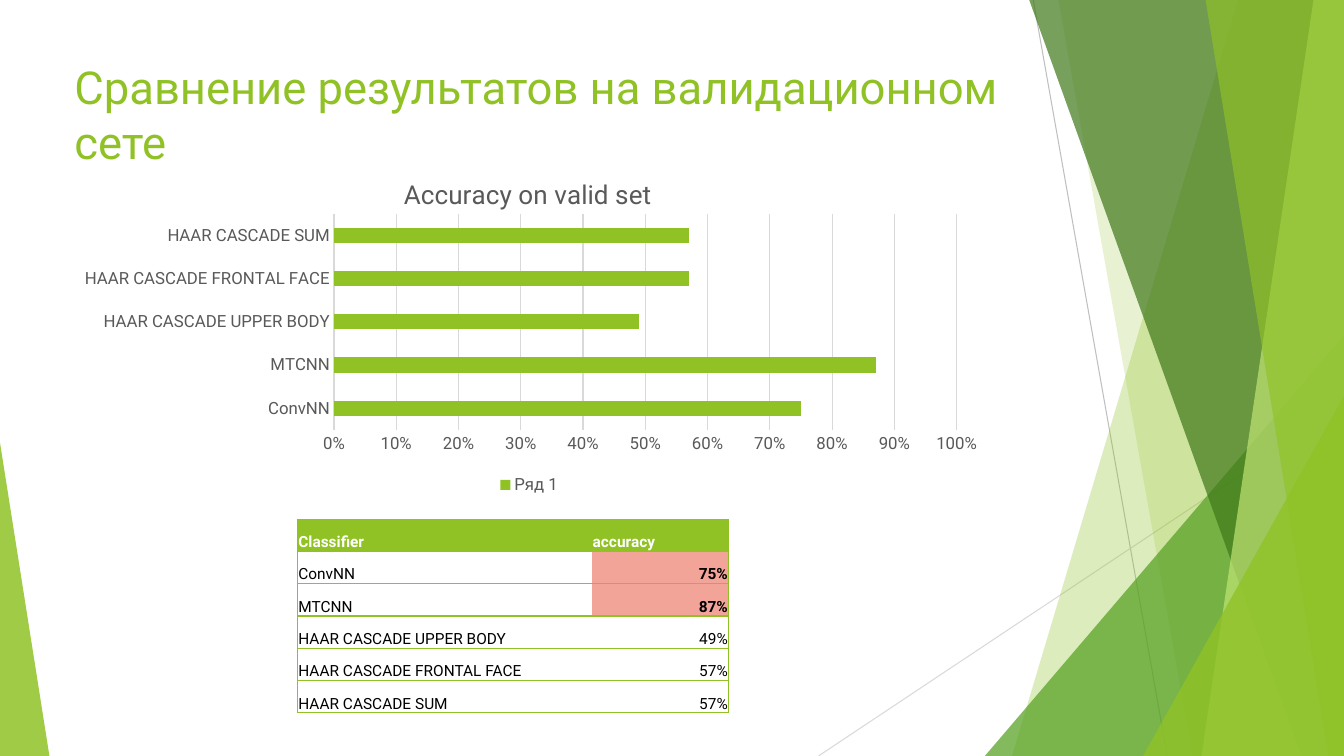
from dataclasses import dataclass

from lxml.etree import SubElement
from pptx import Presentation
from pptx.chart.data import CategoryChartData
from pptx.dml.color import RGBColor
from pptx.enum.chart import XL_CHART_TYPE, XL_LEGEND_POSITION, XL_TICK_MARK
from pptx.enum.shapes import MSO_CONNECTOR, MSO_SHAPE
from pptx.enum.text import MSO_ANCHOR, PP_ALIGN
from pptx.oxml import parse_xml
from pptx.oxml.ns import nsdecls, qn
from pptx.util import Inches, Pt


@dataclass(frozen=True)
class Theme:
    font: str = "Roboto"
    lime: str = "90C226"
    leaf: str = "54A021"
    forest: str = "3F7819"
    pale: str = "C0E474"
    rose: str = "F2A499"
    white: str = "FFFFFF"
    black: str = "000000"
    label: str = "595959"
    rule: str = "D9D9D9"
    dark_rule: str = "BFBFBF"
    title_size: float = 32.4
    chart_title_size: float = 18.6
    label_size: float = 12
    table_size: float = 11
    hairline: float = 0.75
    border: float = 1


class SlideBuilder:
    def __init__(self, deck, theme):
        self.theme = theme
        self.width, self.height = deck.slide_width, deck.slide_height
        self.slide = deck.slides.add_slide(deck.slide_layouts[6])
        self.shapes = self.slide.shapes

    def x(self, percent):
        return round(self.width * percent / 100)

    def y(self, percent):
        return round(self.height * percent / 100)

    def box(self, left, top, width, height):
        return self.x(left), self.y(top), self.x(width), self.y(height)

    def style_font(self, font, size, color, bold=False):
        font.name, font.size, font.bold = self.theme.font, Pt(size), bold
        font.color.rgb = RGBColor.from_string(color)

    def add_words(self, paragraph, words, size, color, bold=False):
        run = paragraph.add_run()
        run.text = words
        self.style_font(run.font, size, color, bold)

    def tint(self, shape, color, opacity):
        shape.shadow.inherit = False
        shape.fill.solid()
        shape.fill.fore_color.rgb = RGBColor.from_string(color)
        shape.line.fill.background()
        srgb = shape._element.spPr.find(qn("a:solidFill")).find(qn("a:srgbClr"))
        SubElement(srgb, qn("a:alpha"), val=str(opacity * 1000))

    def line(self, start, end, color):
        rule = self.shapes.add_connector(
            MSO_CONNECTOR.STRAIGHT, self.x(start[0]), self.y(start[1]), self.x(end[0]), self.y(end[1]))
        rule.line.color.rgb = RGBColor.from_string(color)
        rule.line.width = Pt(self.theme.hairline)
        SubElement(rule._element.spPr, qn("a:effectLst"))

    def band(self, top_left, bottom_left, color, opacity):
        outline = self.shapes.build_freeform(self.x(top_left), 0, scale=1.0)
        corners = [(100, 0), (100, 100), (bottom_left, 100)]
        outline.add_line_segments([(self.x(h), self.y(v)) for h, v in corners], close=True)
        self.tint(outline.convert_to_shape(), color, opacity)

    def triangle(self, left, top, width, apex, color, opacity):
        wedge = self.shapes.add_shape(
            MSO_SHAPE.ISOSCELES_TRIANGLE, *self.box(left, top, width, 100 - top))
        wedge.adjustments[0] = apex
        self.tint(wedge, color, opacity)

    def title(self, words, *place):
        frame = self.shapes.add_textbox(*self.box(*place)).text_frame
        frame.word_wrap = True
        self.add_words(frame.paragraphs[0], words, self.theme.title_size, self.theme.lime)

    def cell(self, cell, words, fill, color, bold, right, edges):
        cell.margin_left = cell.margin_right = self.x(0.07)
        cell.margin_top, cell.margin_bottom = self.y(0.13), 0
        cell.vertical_anchor = MSO_ANCHOR.BOTTOM
        paragraph = cell.text_frame.paragraphs[0]
        paragraph.alignment = PP_ALIGN.RIGHT if right else PP_ALIGN.LEFT
        self.add_words(paragraph, words, self.theme.table_size, color, bold)
        properties = cell._tc.get_or_add_tcPr()
        for edge in "LRTB":
            border = SubElement(properties, qn("a:ln" + edge), w=str(Pt(self.theme.border)))
            if edge in edges:
                paint = SubElement(border, qn("a:solidFill"))
                SubElement(paint, qn("a:srgbClr"), val=self.theme.lime)
            else:
                SubElement(border, qn("a:noFill"))
        cell.fill.solid()
        cell.fill.fore_color.rgb = RGBColor.from_string(fill)

    def table(self, header, accuracies, best, left, top, widths, row_height):
        theme = self.theme
        rows = [header] + [(name, f"{value:.0%}") for name, value in accuracies]
        table = self.shapes.add_table(
            len(rows), len(widths),
            *self.box(left, top, sum(widths), row_height * len(rows))).table
        table.first_row = table.horz_banding = False
        for column, width in zip(table.columns, widths):
            column.width = self.x(width)
        for r, row in enumerate(rows):
            table.rows[r].height = self.y(row_height)
            for c, words in enumerate(row):
                heading, marked = r == 0, c == 1 and row[0] in best
                fill = theme.lime if heading else theme.rose if marked else theme.white
                color = theme.white if heading else theme.black
                self.cell(table.cell(r, c), words, fill, color, heading or marked,
                          c == 1 and not heading, ("LTB", "RTB")[c])

    def place(self, parent, before, inner=False, **shares):
        target = '<c:layoutTarget val="inner"/>' if inner else ""
        modes = "".join(f'<c:{side}Mode val="edge"/>' for side in "xy")
        values = "".join(f'<c:{key} val="{value}"/>' for key, value in shares.items())
        for existing in parent.findall(qn("c:layout")):
            parent.remove(existing)
        parent.find(qn(before)).addprevious(parse_xml(
            f'<c:layout {nsdecls("c")}><c:manualLayout>{target}{modes}{values}'
            f'</c:manualLayout></c:layout>'))

    def bar_chart(self, heading, series_name, accuracies, *place):
        theme = self.theme
        data = CategoryChartData(number_format="0%")
        data.categories = [name for name, _ in accuracies]
        data.add_series(series_name, [value for _, value in accuracies])
        chart = self.shapes.add_chart(XL_CHART_TYPE.BAR_CLUSTERED, *self.box(*place), data).chart
        self.style_font(chart.font, theme.label_size, theme.label)
        chart.has_title = True
        self.add_words(chart.chart_title.text_frame.paragraphs[0], heading,
                       theme.chart_title_size, theme.label)
        self.place(chart.chart_title._element, "c:overlay", x=0.36, y=0.05)
        self.place(chart._chartSpace.chart.plotArea, "c:barChart", inner=True,
                   x=0.29, y=0.17, w=0.67, h=0.63)
        chart.has_legend = True
        chart.legend.position = XL_LEGEND_POSITION.BOTTOM
        chart.legend.include_in_layout = False
        self.style_font(chart.legend.font, theme.label_size, theme.label)
        plot = chart.plots[0]
        plot.gap_width, plot.vary_by_categories = 182, False
        bars = plot.series[0].format.fill
        bars.solid()
        bars.fore_color.rgb = RGBColor.from_string(theme.lime)
        scale = chart.value_axis
        scale.minimum_scale, scale.maximum_scale, scale.major_unit = 0, 1, 0.1
        scale.tick_labels.number_format = "0%"
        scale.tick_labels.number_format_is_linked = False
        scale.has_major_gridlines = True
        for axis in (scale, chart.category_axis):
            axis.major_tick_mark = axis.minor_tick_mark = XL_TICK_MARK.NONE
            self.style_font(axis.tick_labels.font, theme.label_size, theme.label)
        for rule in (scale.major_gridlines.format.line, chart.category_axis.format.line):
            rule.color.rgb = RGBColor.from_string(theme.rule)
            rule.width = Pt(theme.hairline)
        scale.format.line.fill.background()


def main():
    deck = Presentation()
    deck.slide_width, deck.slide_height = Inches(13.33), Inches(7.5)
    theme = Theme()
    slide = SlideBuilder(deck, theme)
    accuracies = [("ConvNN", 0.75), ("MTCNN", 0.87), ("HAAR CASCADE UPPER BODY", 0.49),
                  ("HAAR CASCADE FRONTAL FACE", 0.57), ("HAAR CASCADE SUM", 0.57)]

    slide.line((76.88, 0), (86.85, 100), theme.dark_rule)
    slide.line((100, 53.73), (60.9, 100), theme.rule)
    slide.band(92.1, 75.3, theme.lime, 30)
    slide.band(78.75, 88.73, theme.lime, 20)
    slide.triangle(73.28, 44.4, 26.72, 1, theme.leaf, 72)
    slide.band(76.58, 96.83, theme.forest, 70)
    slide.band(97.73, 89.4, theme.pale, 70)
    slide.band(89.7, 98.85, theme.lime, 65)
    slide.triangle(85.05, 52.4, 14.95, 1, theme.lime, 80)
    slide.triangle(0, 58.53, 3.68, 0, theme.lime, 85)

    slide.title("Сравнение результатов на валидационном сете", 4.8, 7.2, 75.08, 15.07)
    slide.table(("Classifier", "accuracy"), accuracies, ("ConvNN", "MTCNN"),
                22.13, 68.67, (21.9, 10.2), 4.27)
    slide.bar_chart("Accuracy on valid set", "Ряд 1", accuracies, 4.8, 20.53, 69.15, 45.47)
    deck.save("out.pptx")


if __name__ == "__main__":
    main()
